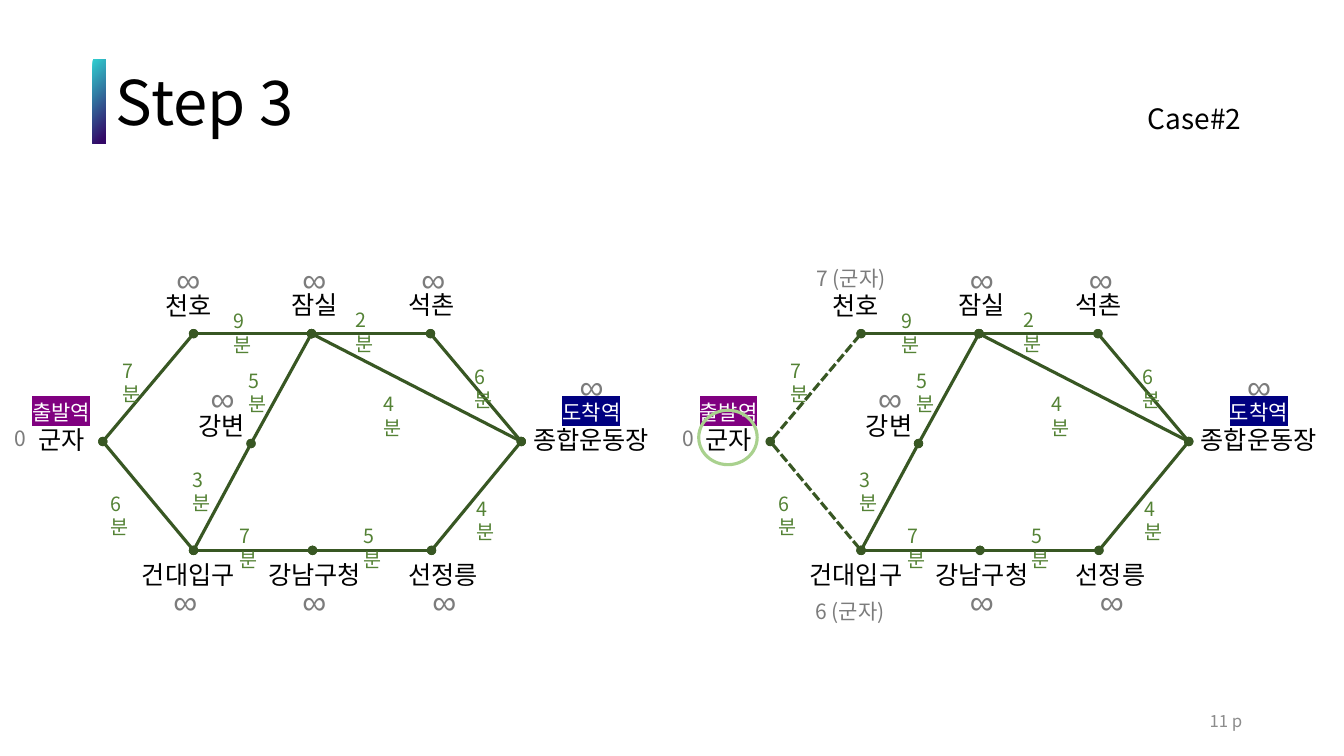
from pptx import Presentation, util as u
from pptx.dml.color import RGBColor
from pptx.enum import dml, shapes, text
from pptx.oxml import ns
from lxml import etree

BLACK = RGBColor(0x00, 0x00, 0x00)
WHITE = RGBColor(0xFF, 0xFF, 0xFF)
GRAY = RGBColor(0x7C, 0x7C, 0x7C)
PAGE_GRAY = RGBColor(0x8C, 0x8C, 0x8C)
TRACK_GREEN = RGBColor(0x38, 0x57, 0x23)
MINUTE_GREEN = RGBColor(0x54, 0x82, 0x35)
RING_GREEN = RGBColor(0xA9, 0xD1, 0x8E)
TEAL = RGBColor(0x30, 0xCF, 0xD0)
VIOLET = RGBColor(0x33, 0x08, 0x67)
PURPLE = RGBColor(0x80, 0x00, 0x80)
NAVY = RGBColor(0x00, 0x00, 0x80)
FONT = "Noto Sans CJK KR"

PANEL_STEP = 6.62
COLUMNS = [1.02, 1.92, 3.09, 4.27, 5.17]
TOP, MIDDLE, BOTTOM = 3.31, 4.38, 5.46

STATIONS = {
    "군자": (COLUMNS[0], MIDDLE, 0.28, 4.16),
    "천호": (COLUMNS[1], TOP, 1.54, 2.83),
    "잠실": (COLUMNS[2], TOP, 2.79, 2.82),
    "석촌": (COLUMNS[3], TOP, 3.95, 2.82),
    "종합운동장": (COLUMNS[4], MIDDLE, 5.19, 4.16),
    "강변": (2.49, 4.4, 1.87, 4.02),
    "건대입구": (COLUMNS[1], BOTTOM, 1.31, 5.5),
    "강남구청": (COLUMNS[2] + 0.01, BOTTOM, 2.56, 5.5),
    "선정릉": (COLUMNS[3] + 0.01, BOTTOM, 3.95, 5.5),
}
TRACKS = [
    ("천호", "잠실", 9, 2.22, 3.02),
    ("건대입구", "강남구청", 7, 2.28, 5.15),
    ("강남구청", "선정릉", 5, 3.51, 5.15),
    ("잠실", "석촌", 2, 3.43, 3.01),
    ("군자", "천호", 7, 1.12, 3.51),
    ("군자", "건대입구", 6, 1.0, 4.83),
    ("선정릉", "종합운동장", 4, 4.63, 4.88),
    ("석촌", "종합운동장", 6, 4.61, 3.57),
    ("건대입구", "강변", 3, 1.81, 4.59),
    ("강변", "잠실", 5, 2.37, 3.61),
    ("잠실", "종합운동장", 4, 3.71, 3.84),
]
TAGS = [("출발역", 0.22, PURPLE), ("도착역", 5.48, NAVY)]
UNKNOWN = {
    "천호": (1.65, 2.52),
    "잠실": (2.9, 2.52),
    "석촌": (4.08, 2.52),
    "강변": (1.99, 3.7),
    "건대입구": (1.62, 5.71),
    "강남구청": (2.9, 5.71),
    "선정릉": (4.19, 5.71),
    "종합운동장": (5.65, 3.58),
}
REACHED = {
    "천호": ("7 (군자)", 1.38, 2.58),
    "건대입구": ("6 (군자)", 1.37, 5.89),
}


def format_text(shape, words, size, color, font=FONT, highlight=None):
    shape.text_frame.text = words
    paragraph = shape.text_frame.paragraphs[0]
    paragraph.alignment = text.PP_ALIGN.LEFT
    run = paragraph.runs[0]
    run.font.size = u.Pt(size)
    run.font.color.rgb = color
    run.font.name = font
    properties = run.font._element
    east_asian = etree.Element(ns.qn("a:ea"), typeface=font)
    properties.find(ns.qn("a:latin")).addnext(east_asian)
    if highlight is not None:
        marker = etree.Element(ns.qn("a:highlight"))
        etree.SubElement(marker, ns.qn("a:srgbClr"), val=str(highlight))
        properties.find(ns.qn("a:solidFill")).addnext(marker)
    return paragraph


def add_label(words, left, top, width, height, size, color, wrap=True, **style):
    box = slide.shapes.add_textbox(u.Inches(left), u.Inches(top), u.Inches(width), u.Inches(height))
    box.text_frame.word_wrap = wrap
    format_text(box, words, size, color, **style)
    return box


presentation = Presentation()
presentation.slide_width = u.Inches(13.33)
presentation.slide_height = u.Inches(7.5)
slide = presentation.slides.add_slide(presentation.slide_layouts[5])

title = slide.shapes.title
title.left, title.top = u.Inches(1.05), u.Inches(0.51)
title.width, title.height = u.Inches(3.19), u.Inches(1.08)
title.text_frame.vertical_anchor = text.MSO_ANCHOR.MIDDLE
title.text_frame.auto_size = text.MSO_AUTO_SIZE.NONE
format_text(title, "Step 3", 44, BLACK).line_spacing = 0.9

bar = slide.shapes.add_shape(
    shapes.MSO_SHAPE.RECTANGLE, u.Inches(0.92), u.Inches(0.59), u.Inches(0.13), u.Inches(0.83)
)
bar.shadow.inherit = False
bar.line.fill.background()
bar.fill.gradient()
bar.fill.gradient_angle = 315
for stop, color, position in zip(bar.fill.gradient_stops, (TEAL, VIOLET), (0, 0.94)):
    stop.color.rgb = color
    stop.position = position

case = add_label("Case#2", 10.15, 1, 2.26, 0.46, 20, BLACK)
case.text_frame.paragraphs[0].alignment = text.PP_ALIGN.RIGHT
case.text_frame.paragraphs[0].line_spacing = 0.9

for panel, (reached, visited) in enumerate([({}, None), (REACHED, "군자")]):
    offset = panel * PANEL_STEP

    for start, end, minutes, left, top in TRACKS:
        x1, y1 = STATIONS[start][:2]
        x2, y2 = STATIONS[end][:2]
        track = slide.shapes.add_connector(
            shapes.MSO_CONNECTOR.STRAIGHT,
            u.Inches(offset + x1), u.Inches(y1), u.Inches(offset + x2), u.Inches(y2),
        )
        track.line.color.rgb = TRACK_GREEN
        track.line.width = u.Pt(2.25)
        if start == visited:
            track.line.dash_style = dml.MSO_LINE.SQUARE_DOT
        for tip in ("a:headEnd", "a:tailEnd"):
            etree.SubElement(track.line._get_or_add_ln(), ns.qn(tip), type="oval")
        etree.SubElement(track._element.spPr, ns.qn("a:effectLst"))

    for name, (x, y, left, top) in STATIONS.items():
        add_label(name, offset + left, top, 0.2 + 0.23 * len(name), 0.46, 18, BLACK, wrap=False)

    for words, left, color in TAGS:
        add_label(words, offset + left, 3.91, 0.85, 0.4, 15, WHITE, wrap=False, highlight=color)

    for start, end, minutes, left, top in TRACKS:
        add_label(f"{minutes}분", offset + left, top, 0.45, 0.38, 14, MINUTE_GREEN)

    add_label("0", offset + 0.05, 4.17, 0.75, 0.46, 15, GRAY)
    for name, (left, top) in UNKNOWN.items():
        if name in reached:
            words, left, top = reached[name]
            add_label(words, offset + left, top, 1.27, 0.35, 15, GRAY)
        else:
            add_label("∞", offset + left, top, 0.75, 0.64, 24, GRAY, font="Arial")

    if visited:
        ring = slide.shapes.add_shape(
            shapes.MSO_SHAPE.OVAL, u.Inches(offset + 0.31), u.Inches(4.07), u.Inches(0.58), u.Inches(0.54)
        )
        ring.shadow.inherit = False
        ring.fill.background()
        ring.line.color.rgb = RING_GREEN
        ring.line.width = u.Pt(2.25)

page = add_label("11 p", 9.42, 6.95, 3, 0.4, 12, PAGE_GRAY)
page.text_frame.vertical_anchor = text.MSO_ANCHOR.MIDDLE
page.text_frame.paragraphs[0].alignment = text.PP_ALIGN.RIGHT

presentation.save("out.pptx")
